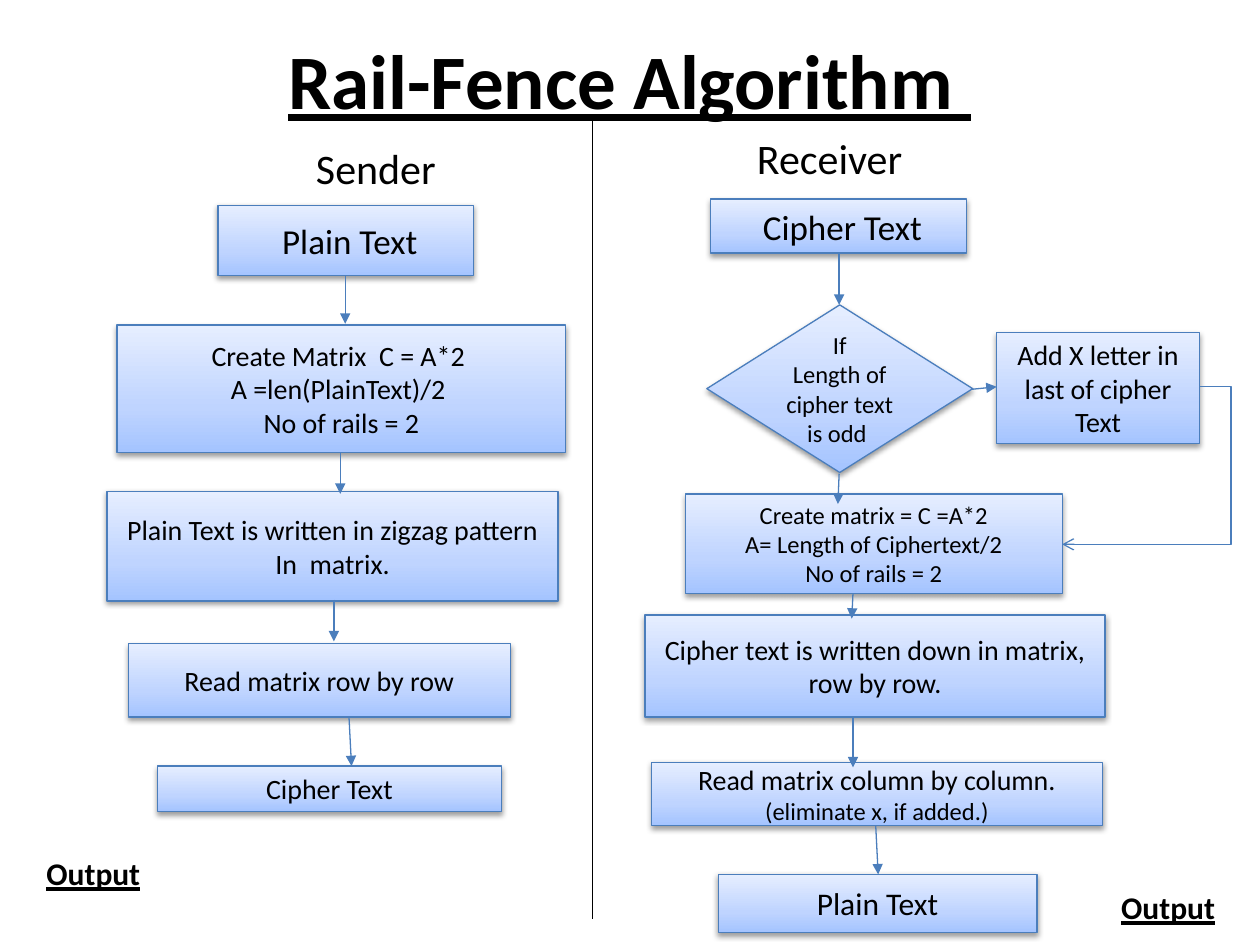
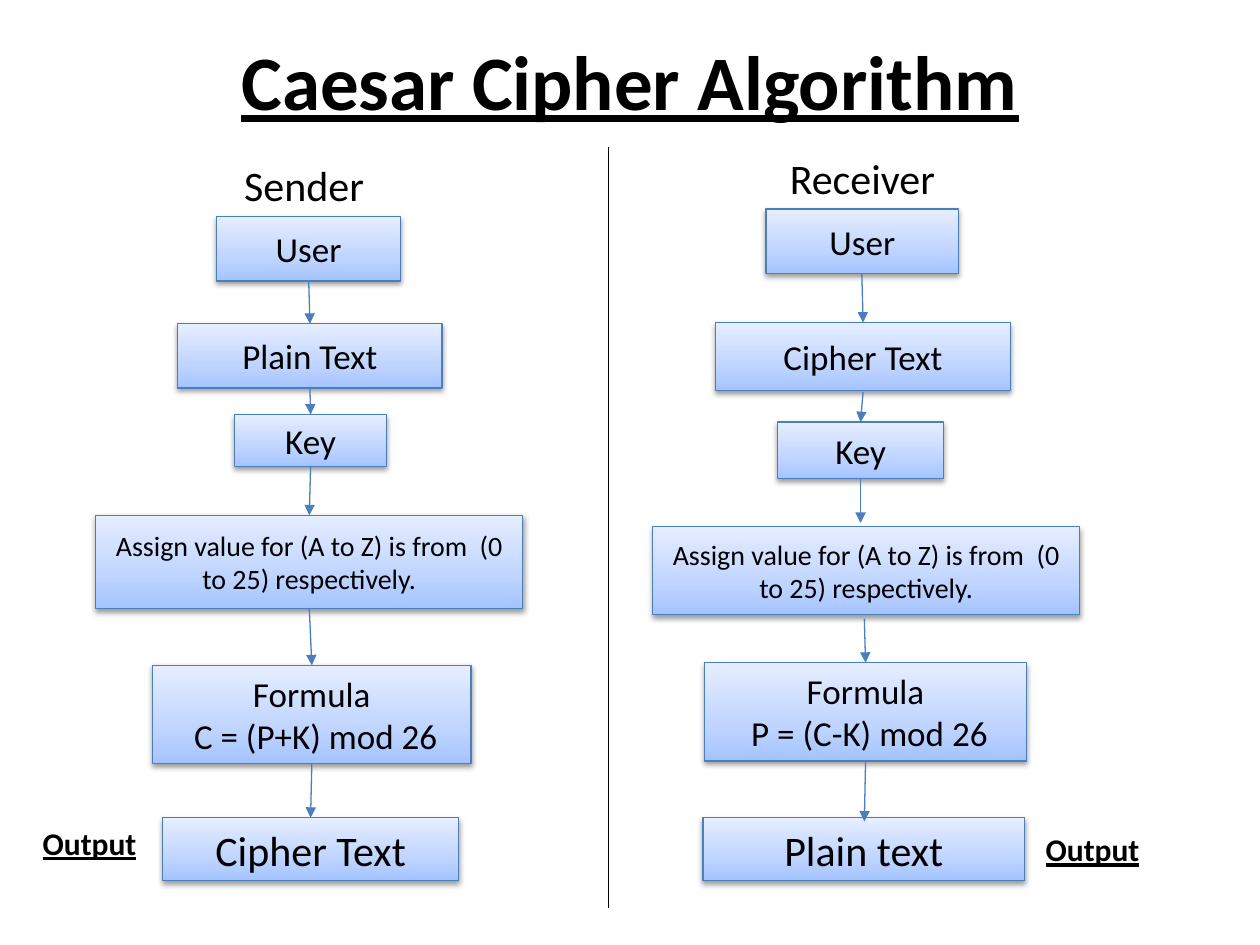
"""Build two slides of flowcharts: the Rail-Fence and Caesar cipher algorithms."""
from itertools import cycle

from pptx import Presentation
from pptx import oxml as ox
from pptx import util as u
from pptx.dml.color import RGBColor
from pptx.enum import shapes, text
from pptx.oxml import ns

BLACK = RGBColor(0x00, 0x00, 0x00)
BLUE = RGBColor(0x4B, 0x7E, 0xBC)
STOPS = [
    (0, RGBColor(0xA4, 0xC4, 0xFF)),
    (35, RGBColor(0xBF, 0xD4, 0xFF)),
    (100, RGBColor(0xE6, 0xEE, 0xFF)),
]
FONT = "Calibri"
LEFT, MID = text.PP_ALIGN.LEFT, text.PP_ALIGN.CENTER
RECT, GEM = shapes.MSO_SHAPE.RECTANGLE, shapes.MSO_SHAPE.DIAMOND
LINE, BENT = shapes.MSO_CONNECTOR.STRAIGHT, shapes.MSO_CONNECTOR.ELBOW

DRAW = ns.nsdecls("a")
GRAD = f'<a:gradFill {DRAW} rotWithShape="1"><a:gsLst>' + "".join(
    f'<a:gs pos="{pos * 1000}"><a:srgbClr val="{tint}"/></a:gs>' for pos, tint in STOPS
) + '</a:gsLst><a:lin ang="16200000" scaled="0"/></a:gradFill>'
SHADE = (
    f'<a:effectLst {DRAW}><a:outerShdw blurRad="40000" dist="20000" dir="5400000" '
    'rotWithShape="0"><a:srgbClr val="000000"><a:alpha val="38000"/></a:srgbClr>'
    '</a:outerShdw></a:effectLst>'
)


def write(frame, words, sizes, align=MID, bold=False, under=False):
    """Fill a frame with one paragraph per line of words."""
    frame.word_wrap = True
    frame.vertical_anchor = text.MSO_ANCHOR.TOP if align == LEFT else text.MSO_ANCHOR.MIDDLE
    for i, (line, size) in enumerate(zip(words.split("\n"), cycle(sizes))):
        para = frame.add_paragraph() if i else frame.paragraphs[0]
        para.alignment = align
        run = para.add_run()
        run.text = line
        font = run.font
        font.name, font.size, font.color.rgb = FONT, u.Pt(size), BLACK
        font.bold, font.underline = bold, under


def join(slide, ends, kind=LINE, color=BLUE, head="triangle"):
    """Draw a connector, with an arrowhead unless head is empty."""
    wire = slide.shapes.add_connector(kind, *map(u.Inches, ends))
    wire.line.color.rgb, wire.line.width = color, u.Pt(0.75)
    if head:
        wire.line._get_or_add_ln().append(ox.parse_xml(f'<a:tailEnd {DRAW} type="{head}"/>'))
    wire._element.spPr.append(ox.parse_xml(f"<a:effectLst {DRAW}/>"))
    return wire


ASSIGN = "Assign value for (A to Z) is from  (0 to 25) respectively."

rail = {
    "title": ("Rail-Fence Algorithm ", 0.08),
    "split": (4.7, 0.93, 4.7, 7.29),
    "heads": [("Sender", 2.41, 1.08), ("Receiver", 5.91, 1)],
    "outs": [(0.27, 6.73), (8.8, 7)],
    "boxes": [
        (RECT, (1.73, 1.63, 2.03, 0.56), " Plain Text", (20,)),
        (RECT, (0.93, 2.58, 3.56, 1.01),
         "Create Matrix  C = A*2 \nA =len(PlainText)/2 \nNo of rails = 2", (16,)),
        (RECT, (0.85, 3.9, 3.58, 0.87),
         "Plain Text is written in zigzag pattern\nIn  matrix.", (16,)),
        (RECT, (1.02, 5.11, 3.03, 0.58), "Read matrix row by row", (16,)),
        (RECT, (1.25, 6.08, 2.73, 0.36), "Cipher Text", (16,)),
        (RECT, (5.64, 1.58, 2.03, 0.43), " Cipher Text", (20,)),
        (GEM, (5.61, 2.42, 2.11, 1.33), "If\nLength of cipher text is odd ", (14,)),
        (RECT, (7.91, 2.64, 1.61, 0.88), "Add X letter in last of cipher Text", (16,)),
        (RECT, (5.44, 3.92, 2.99, 0.79),
         "Create matrix = C =A*2\nA= Length of Ciphertext/2\nNo of rails = 2", (14,)),
        (RECT, (5.12, 4.88, 3.65, 0.81),
         "Cipher text is written down in matrix, row by row.", (16,)),
        (RECT, (5.17, 6.05, 3.58, 0.5),
         "Read matrix column by column.\n(eliminate x, if added.)", (16, 14)),
        (RECT, (5.7, 6.94, 2.53, 0.46), "Plain Text", (18,)),
    ],
    "links": [
        (2.74, 2.19, 2.74, 2.57), (2.7, 3.59, 2.7, 3.92),
        (2.65, 4.76, 2.65, 5.09), (2.77, 5.69, 2.79, 6.08),
        (6.66, 2.01, 6.66, 2.42), (7.71, 3.09, 7.91, 3.07),
        (6.66, 3.76, 6.65, 4), (6.77, 4.71, 6.76, 4.91),
        (6.77, 5.7, 6.77, 6.09), (6.95, 6.55, 6.97, 6.94),
    ],
}

send = [
    (RECT, (1.72, 1.72, 1.46, 0.51), "User", (20,)),
    (RECT, (1.41, 2.57, 2.1, 0.51), "Plain Text", (20,)),
    (RECT, (1.86, 3.29, 1.21, 0.41), "Key", (20,)),
    (RECT, (0.76, 4.09, 3.39, 0.74), ASSIGN, (16,)),
    (RECT, (1.21, 5.28, 2.53, 0.78), "Formula\n C = (P+K) mod 26", (20,)),
    (RECT, (1.29, 6.49, 2.35, 0.5), "Cipher Text", (24,)),
]
chain = [
    (a[0] + a[2] / 2, a[1] + a[3], b[0] + b[2] / 2, b[1])
    for (_, a, _, _), (_, b, _, _) in zip(send, send[1:])
]
caesar = {
    "title": ("Caesar\u00a0Cipher Algorithm".replace("\u00a0", " "), 0.09),
    "split": (4.83, 1.17, 4.83, 7.21),
    "heads": [("Sender", 1.84, 1.22), ("Receiver", 6.17, 1.16)],
    "outs": [(0.24, 6.49), (8.2, 6.54)],
    "boxes": send + [
        (RECT, (6.08, 1.66, 1.53, 0.51), "User", (20,)),
        (RECT, (5.68, 2.56, 2.34, 0.54), "Cipher Text", (20,)),
        (RECT, (6.17, 3.35, 1.32, 0.45), "Key", (20,)),
        (RECT, (5.18, 4.18, 3.39, 0.7), ASSIGN, (16,)),
        (RECT, (5.59, 5.26, 2.56, 0.78), "Formula\n P = (C-K) mod 26", (20,)),
        (RECT, (5.58, 6.49, 2.55, 0.5), "Plain text", (24,)),
    ],
    "links": chain + [
        (6.84, 2.17, 6.85, 2.56), (6.85, 3.11, 6.83, 3.35), (6.83, 3.8, 6.83, 4.15),
        (6.86, 4.91, 6.87, 5.26), (6.87, 6.04, 6.86, 6.52),
    ],
}

deck = Presentation()
deck.slide_width, deck.slide_height = u.Inches(10), u.Inches(7.5)

for plan in (rail, caesar):
    slide = deck.slides.add_slide(deck.slide_layouts[6])
    name, top = plan["title"]
    title = slide.shapes.add_textbox(*map(u.Inches, (0.5, top, 9, 1.09)))
    write(title.text_frame, name, (44,), bold=True, under=True)

    for kind, at, words, sizes in plan["boxes"]:
        box = slide.shapes.add_shape(kind, *map(u.Inches, at))
        box.line.color.rgb, box.line.width = BLUE, u.Pt(0.75)
        props = box._element.spPr
        props.insert(2, ox.parse_xml(GRAD))
        props.append(ox.parse_xml(SHADE))
        write(box.text_frame, words, sizes)

    for ends in plan["links"]:
        join(slide, ends)
    join(slide, plan["split"], color=BLACK, head="")

    for words, left, top in plan["heads"]:
        head = slide.shapes.add_textbox(*map(u.Inches, (left, top, 1.5, 0.5)))
        write(head.text_frame, words, (24,), LEFT)
    for left, top in plan["outs"]:
        out = slide.shapes.add_textbox(*map(u.Inches, (left, top, 1.02, 0.4)))
        write(out.text_frame, "Output", (18,), LEFT, bold=True, under=True)

loop = join(deck.slides[0], (9.52, 3.07, 8.43, 4.32), BENT, head="arrow")
bend = loop._element.spPr.find(ns.qn("a:prstGeom")).get_or_add_avLst()
bend.append(ox.parse_xml(f'<a:gd {DRAW} name="adj1" fmla="val -23000"/>'))

deck.save("out.pptx")
